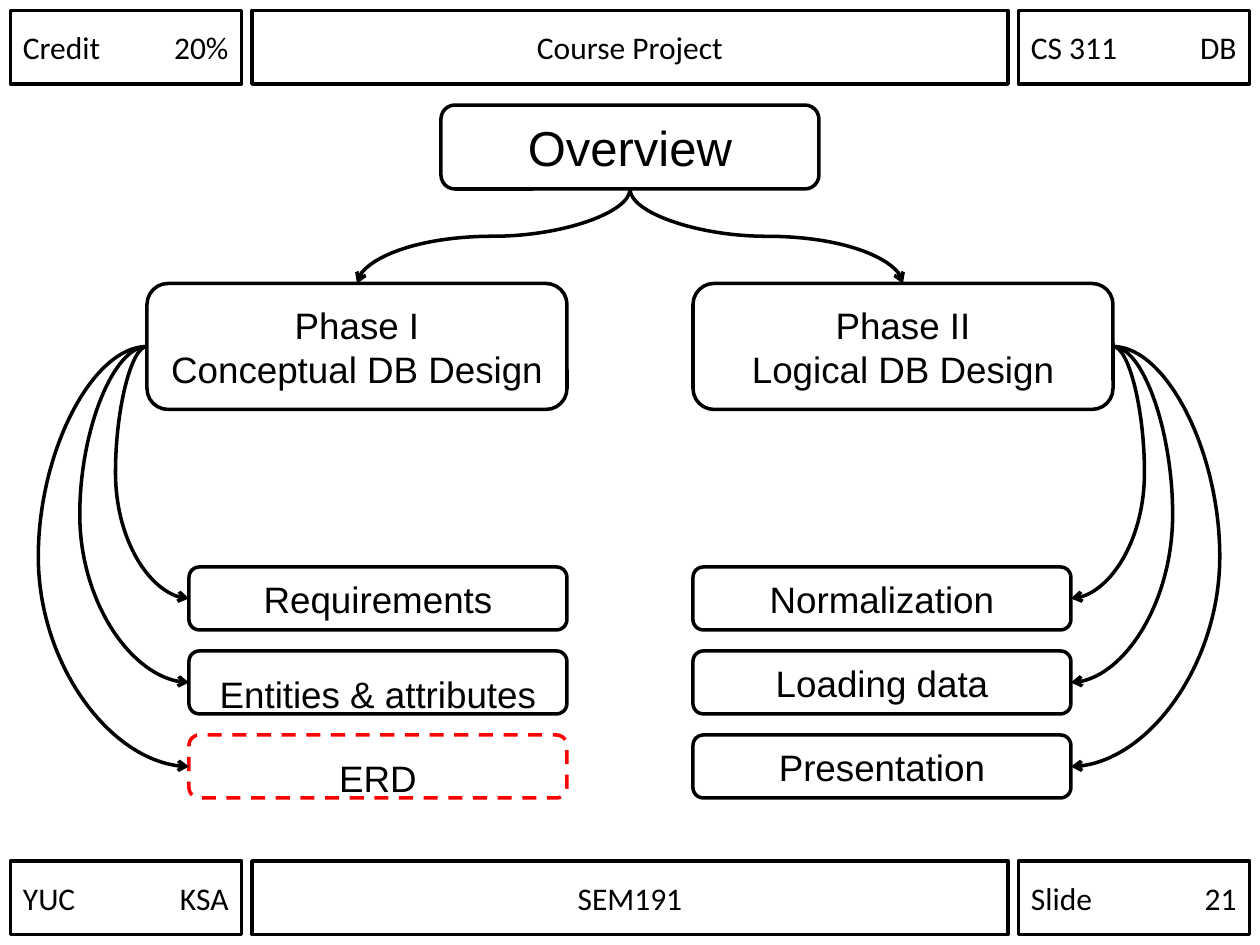
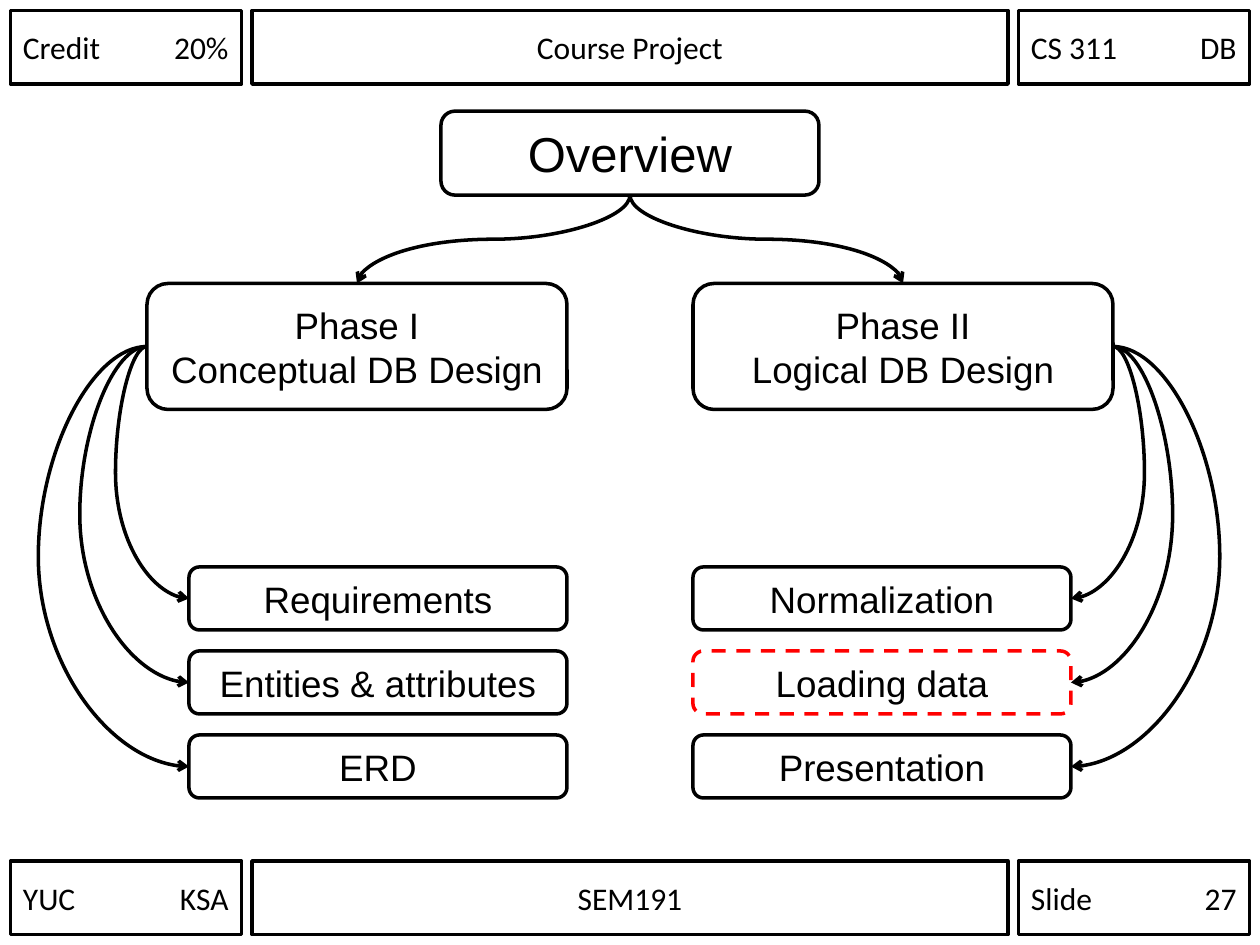
from lxml.etree import SubElement
from pptx import Presentation
from pptx.dml.color import RGBColor
from pptx.enum.dml import MSO_LINE
from pptx.enum.shapes import MSO_CONNECTOR, MSO_SHAPE
from pptx.enum.text import MSO_ANCHOR, MSO_AUTO_SIZE, PP_ALIGN
from pptx.oxml.ns import qn
from pptx.util import Pt

BLACK = RGBColor(0, 0, 0)
RED = RGBColor(255, 0, 0)
LINE = 2
SLIDE_W, SLIDE_H = 720, 540
TITLE_ONLY = 5

MARGIN, BAND_H = 6, 42
SIDE_W, CENTRE_W = 132, 432
SIDE_TAB = 117.5
HEADER_TOP = MARGIN
FOOTER_TOP = SLIDE_H - MARGIN - BAND_H
CENTRE_X = (SLIDE_W - CENTRE_W) / 2
RIGHT_X = SLIDE_W - MARGIN - SIDE_W

OVERVIEW_W, OVERVIEW_H = 216, 48
PHASE_TOP, PHASE_W, PHASE_H = 162, 240, 72
TASK_TOP, TASK_W, TASK_H, TASK_STEP = 324, 216, 36, 48

# Each phase: outer edge, direction towards the middle, heading, tasks, arrow bulges
PHASES = [
    (84, 1, "Phase I\nConceptual DB Design",
     ["Requirements", "Entities & attributes", "ERD"], [18, 38.4, 62.1]),
    (636, -1, "Phase II\nLogical DB Design",
     ["Normalization", "Loading data", "Presentation"], [18, 34.1, 61]),
]


def set_text(tf, text, font="Arial", size=21, align=PP_ALIGN.CENTER, spacing=None, tab=None):
    tf.word_wrap = True
    tf.auto_size = MSO_AUTO_SIZE.NONE
    tf.vertical_anchor = MSO_ANCHOR.MIDDLE
    tf.text = text
    for p in tf.paragraphs:
        if tab:
            tabs = SubElement(p._p.get_or_add_pPr(), qn("a:tabLst"))
            SubElement(tabs, qn("a:tab"), pos=str(Pt(tab)), algn="r")
        p.alignment = align
        if spacing:
            p.line_spacing = spacing
        for r in p.runs:
            r.font.name, r.font.size = font, Pt(size)
            r.font.color.rgb = BLACK


def set_line(shape, color=BLACK):
    shape.line.color.rgb = color
    shape.line.width = Pt(LINE)


def add_box(s, kind, x, y, w, h, text, marked=False, **fmt):
    sp = s.shapes.add_shape(kind, Pt(x), Pt(y), Pt(w), Pt(h))
    sp.shadow.inherit = False
    sp.fill.background()
    set_line(sp, RED if marked else BLACK)
    if marked:
        sp.line.dash_style = MSO_LINE.DASH
    set_text(sp.text_frame, text, **fmt)


def add_curve(s, x1, y1, x2, y2, bend=0.5, quarter_turn=False):
    """Curved arrow; bend is where it turns, as a share of its length."""
    c = s.shapes.add_connector(MSO_CONNECTOR.CURVE, Pt(x1), Pt(y1), Pt(x2), Pt(y2))
    set_line(c)
    sppr = c.element.spPr
    SubElement(c.line._get_or_add_ln(), qn("a:tailEnd"), type="arrow")
    SubElement(sppr, qn("a:effectLst"))
    geom = sppr.find(qn("a:prstGeom"))
    adjusts = geom.find(qn("a:avLst"))
    if adjusts is None:
        adjusts = SubElement(geom, qn("a:avLst"))
    SubElement(adjusts, qn("a:gd"), name="adj1", fmla=f"val {round(bend * 100000)}")
    if quarter_turn:
        sppr.find(qn("a:xfrm")).set("rot", "5400000")


def add_down_curve(s, x1, y1, x2, y2):
    """Arrow that leaves and arrives vertically: a level curve turned about its centre."""
    cx, cy = (x1 + x2) / 2, (y1 + y2) / 2
    dx, dy = (x2 - x1) / 2, (y2 - y1) / 2
    add_curve(s, cx - dy, cy + dx, cx + dy, cy - dx, quarter_turn=True)


def add_bands(s, number):
    title = s.shapes.title
    title.left, title.top = Pt(CENTRE_X), Pt(HEADER_TOP)
    title.width, title.height = Pt(CENTRE_W), Pt(BAND_H)
    set_line(title)
    band = dict(font="Calibri", size=18)
    set_text(title.text_frame, "Course Project", **band)
    add_box(s, MSO_SHAPE.RECTANGLE, CENTRE_X, FOOTER_TOP, CENTRE_W, BAND_H, "SEM191", **band)
    for x, y, text in [(MARGIN, HEADER_TOP, "Credit\t20%"), (RIGHT_X, HEADER_TOP, "CS 311\tDB"),
                       (MARGIN, FOOTER_TOP, "YUC\tKSA"), (RIGHT_X, FOOTER_TOP, f"Slide\t{number}")]:
        add_box(s, MSO_SHAPE.RECTANGLE, x, y, SIDE_W, BAND_H, text,
                align=PP_ALIGN.LEFT, tab=SIDE_TAB, **band)


def add_phase(s, edge, inward, heading, tasks, bulges, current, loose):
    """One phase with its tasks; edge is the outer side, inward is 1 or -1."""
    rounded = MSO_SHAPE.ROUNDED_RECTANGLE
    inner = edge + inward * PHASE_W
    add_box(s, rounded, min(edge, inner), PHASE_TOP, PHASE_W, PHASE_H, heading)
    task_edge = inner - inward * TASK_W
    for i, (task, bulge) in enumerate(zip(tasks, bulges)):
        y = TASK_TOP + i * TASK_STEP
        add_box(s, rounded, min(task_edge, inner), y, TASK_W, TASK_H, task,
                marked=task == current, spacing=1.5 if task in loose else None)
        add_curve(s, edge, PHASE_TOP + PHASE_H / 2, task_edge, y + TASK_H / 2,
                  bend=-bulge / (PHASE_W - TASK_W))


def add_overview_slide(prs, number, current, overview_top, loose=()):
    s = prs.slides.add_slide(prs.slide_layouts[TITLE_ONLY])
    add_bands(s, number)
    add_box(s, MSO_SHAPE.ROUNDED_RECTANGLE, (SLIDE_W - OVERVIEW_W) / 2, overview_top,
            OVERVIEW_W, OVERVIEW_H, "Overview", size=28)
    for edge, inward, *parts in PHASES:
        add_phase(s, edge, inward, *parts, current, loose)
        add_down_curve(s, SLIDE_W / 2, overview_top + OVERVIEW_H,
                       edge + inward * PHASE_W / 2, PHASE_TOP)


def main():
    prs = Presentation()
    prs.slide_width, prs.slide_height = Pt(SLIDE_W), Pt(SLIDE_H)
    add_overview_slide(prs, 21, "ERD", 60, loose=("Entities & attributes", "ERD"))
    add_overview_slide(prs, 27, "Loading data", 63.5)
    prs.save("out.pptx")


if __name__ == "__main__":
    main()
